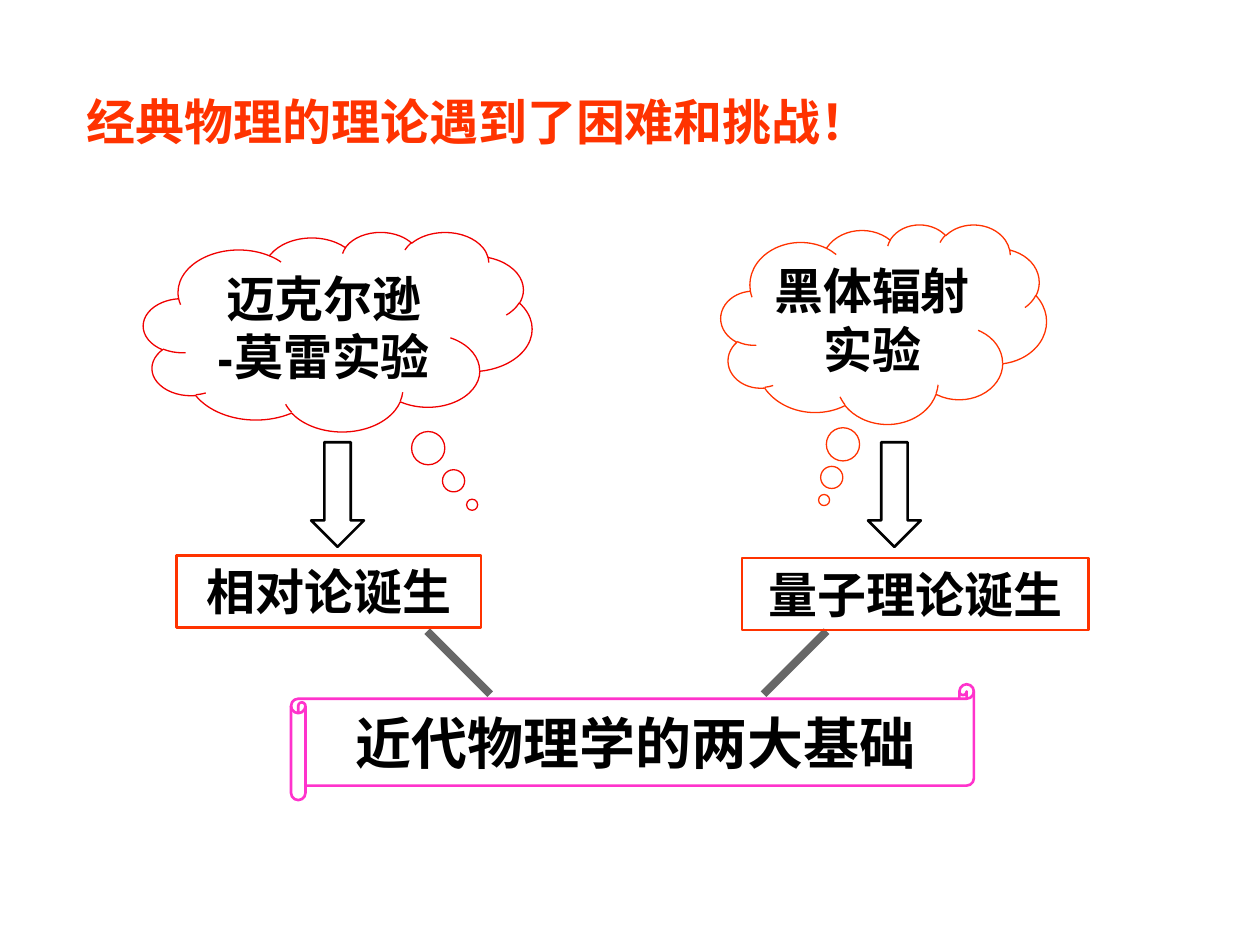
from lxml import etree
from pptx import Presentation
from pptx.dml.color import RGBColor
from pptx.enum.shapes import MSO_CONNECTOR, MSO_SHAPE
from pptx.enum.text import MSO_ANCHOR, MSO_AUTO_SIZE, PP_ALIGN
from pptx.oxml.ns import qn
from pptx.util import Pt

SERIF = "TeX Gyre Schola"
CJK = "Noto Sans CJK SC"
BLACK, ORANGE, RED, PINK, GREY = "000000", "FF3300", "F00000", "FF33CC", "676767"


def color(hex_code):
    return RGBColor.from_string(hex_code)


def write(shape, text, size=28, font=SERIF, ink=BLACK, align=PP_ALIGN.CENTER,
          anchor=MSO_ANCHOR.MIDDLE, wrap=False, fit=MSO_AUTO_SIZE.NONE):
    """Fill a shape with bold text, one paragraph for each line."""
    frame = shape.text_frame
    frame.word_wrap = wrap
    frame.auto_size = fit
    frame.vertical_anchor = anchor
    frame.text = text
    for paragraph in frame.paragraphs:
        paragraph.alignment = align
        for run in paragraph.runs:
            run.font.size = Pt(size)
            run.font.bold = True
            run.font.name = font
            run.font.color.rgb = color(ink)
            east_asian = etree.Element(qn("a:ea"), typeface=CJK)
            run.font._element.find(qn("a:latin")).addnext(east_asian)


def outline(slide, kind, box, line, width, adjustments=()):
    """Add an unfilled preset shape in box (left, top, width, height)."""
    shape = slide.shapes.add_shape(kind, *map(Pt, box))
    shape.shadow.inherit = False
    shape.fill.background()
    shape.line.color.rgb = color(line)
    shape.line.width = Pt(width)
    for index, value in enumerate(adjustments):
        shape.adjustments[index] = value
    return shape


def heading(slide, box, text):
    title = slide.shapes.add_textbox(*map(Pt, box))
    write(title, text, font=CJK, ink=ORANGE, align=PP_ALIGN.LEFT,
          anchor=MSO_ANCHOR.TOP, wrap=True, fit=MSO_AUTO_SIZE.SHAPE_TO_FIT_TEXT)


def experiment(slide, box, text, line, tail):
    """Thought cloud whose bubbles lead to tail, in shares of the box from its centre."""
    write(outline(slide, MSO_SHAPE.CLOUD_CALLOUT, box, line, 0.75, tail), text)


def theory(slide, box, text, arrow_left):
    """Framed result with an arrow coming down to it."""
    frame = outline(slide, MSO_SHAPE.RECTANGLE, box, ORANGE, 1.5)
    write(frame, text, anchor=MSO_ANCHOR.TOP, wrap=True,
          fit=MSO_AUTO_SIZE.SHAPE_TO_FIT_TEXT)
    outline(slide, MSO_SHAPE.DOWN_ARROW, (arrow_left, 252.7, 30.2, 59.8),
            BLACK, 1.5, (0.5, 0.5))


def foundation(slide, box, text):
    """Scroll with two struts slanting in onto its top."""
    left, top, width, height = box
    scroll = outline(slide, MSO_SHAPE.HORIZONTAL_SCROLL, box, PINK, 1.5, (0.125,))
    write(scroll, text, size=32, font="Times New Roman")
    reach = 36
    strut_top = top - 30.3
    for start, end in ((left + 77.8, left + 77.8 + reach),
                       (left + 306, left + 306 - reach)):
        strut = slide.shapes.add_connector(
            MSO_CONNECTOR.STRAIGHT, Pt(start), Pt(strut_top),
            Pt(end), Pt(strut_top + reach))
        strut.line.color.rgb = color(GREY)
        strut.line.width = Pt(4.5)
        etree.SubElement(strut._element.spPr, qn("a:effectLst"))


def main():
    deck = Presentation()
    deck.slide_width, deck.slide_height = Pt(720), Pt(540)
    slide = deck.slides.add_slide(deck.slide_layouts[6])

    experiment(slide, (82, 132.5, 222, 114), "迈克尔逊\n-莫雷实验", RED, (0.346, 0.868))
    experiment(slide, (412, 128.2, 186, 114), "黑体辐射\n实验", ORANGE, (-0.183, 0.882))
    foundation(slide, (166.3, 391, 390.2, 66.2), "近代物理学的两大基础")
    theory(slide, (100.8, 317.5, 174.2, 41.2), "相对论诞生", 177.8)
    theory(slide, (424.1, 318.8, 198, 41.2), "量子理论诞生", 496)
    heading(slide, (42.5, 49, 606.2, 41.2), "经典物理的理论遇到了困难和挑战！")

    deck.save("out.pptx")


if __name__ == "__main__":
    main()
